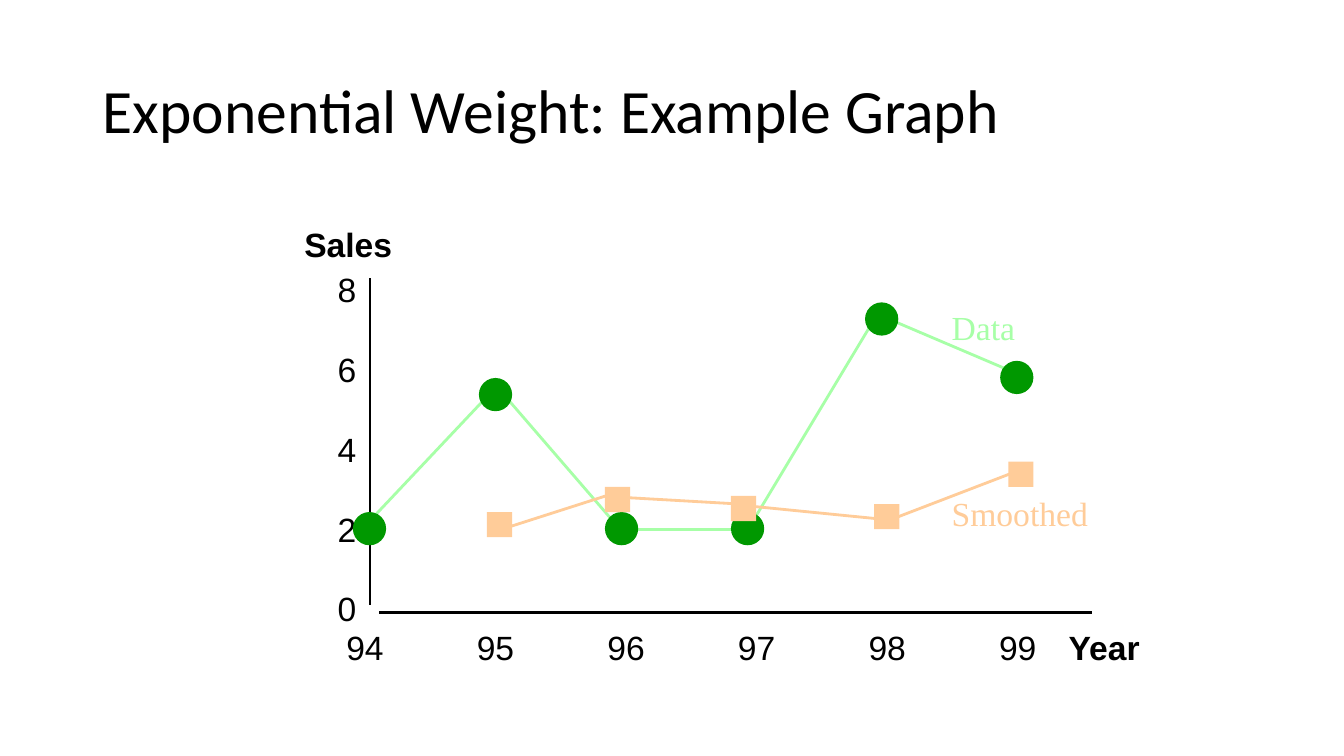
from pptx import Presentation
from pptx.util import Inches, Pt
from pptx.dml.color import RGBColor
from pptx.enum.shapes import MSO_CONNECTOR, MSO_SHAPE
from pptx.enum.text import MSO_ANCHOR, PP_ALIGN
from lxml import etree

STRAIGHT = MSO_CONNECTOR.STRAIGHT
OVAL, SQUARE = MSO_SHAPE.OVAL, MSO_SHAPE.RECTANGLE
MIDDLE, LEFT, CENTER = MSO_ANCHOR.MIDDLE, PP_ALIGN.LEFT, PP_ALIGN.CENTER
A = "http://schemas.openxmlformats.org/drawingml/2006/main"
COLORS = {"ink": "000000", "data_line": "A7FFA7", "data_dot": "009800", "smoothed": "FFCC99"}

prs = Presentation()
prs.slide_width, prs.slide_height = Inches(13.33), Inches(7.5)
s = prs.slides.add_slide(prs.slide_layouts[6])


def add_text(lines, x, y, w, h, font="Arial", size=24, color="ink", bold=False, align=LEFT):
    tf = s.shapes.add_textbox(Inches(x), Inches(y), Inches(w), Inches(h)).text_frame
    tf.word_wrap = True
    for i, line in enumerate(lines):
        p = tf.paragraphs[0] if i == 0 else tf.add_paragraph()
        p.alignment = align
        r = p.add_run()
        r.text = line
        r.font.name, r.font.size, r.font.bold = font, Pt(size), bold
        r.font.color.rgb = RGBColor.from_string(COLORS[color])
    return tf


def add_line(x1, y1, x2, y2, color):
    c = s.shapes.add_connector(STRAIGHT, Inches(x1), Inches(y1), Inches(x2), Inches(y2))
    c.line.color.rgb = RGBColor.from_string(COLORS[color])
    c.line.width = Pt(2)
    etree.SubElement(c._element.spPr, f"{{{A}}}effectLst")


tf = add_text(["Exponential Weight: Example Graph"], 0.92, 0.4, 11.5, 1.45, "Calibri", 44)
tf.vertical_anchor = MIDDLE
tf.paragraphs[0].line_spacing = 0.9

add_line(3.67, 2.76, 3.67, 6, "ink")
add_line(3.76, 6.08, 10.83, 6.08, "ink")

for i in range(6):
    add_text([str(94 + i)], 3.27 + 1.295 * i, 6.17, 0.7, 0.5, align=CENTER)

tf = add_text(["8", "6", "4", "2", "0"], 3.25, 2.42, 0.58, 3.89)
for p in tf.paragraphs:
    p.line_spacing = 1.5
    p.space_before = Pt(13.8)

add_text(["Sales"], 2.92, 2.17, 1.41, 0.5, bold=True)
add_text(["Year"], 10.5, 6.17, 1.41, 0.5, bold=True)

segments = {
    "data_line": [(3.59, 5.25, 4.92, 3.84), (5.01, 3.93, 6.08, 5.17), (6.26, 5.25, 7.33, 5.25),
                  (7.42, 5.25, 8.67, 3.17), (8.85, 3.18, 10, 3.67)],
    "smoothed": [(5.01, 5.24, 6.07, 4.9), (6.1, 4.93, 7.33, 5), (7.43, 5.02, 8.74, 5.15),
                 (8.77, 5.18, 10.15, 4.65)],
}
for color, lines in segments.items():
    for ends in lines:
        add_line(*ends, color)

markers = [
    (OVAL, 0.33, "data_dot", [(3.5, 5.08), (4.75, 3.75), (6, 5.08), (7.25, 5.08), (8.58, 3), (9.92, 3.58)]),
    (SQUARE, 0.25, "smoothed", [(4.83, 5.08), (6, 4.83), (7.25, 4.92), (8.67, 5), (10, 4.58)]),
]
for kind, size, color, points in markers:
    for x, y in points:
        sp = s.shapes.add_shape(kind, Inches(x), Inches(y), Inches(size), Inches(size))
        sp.shadow.inherit = False
        sp.fill.solid()
        sp.fill.fore_color.rgb = RGBColor.from_string(COLORS[color])
        sp.line.fill.background()

add_text(["Data"], 9.34, 3, 1.5, 0.5, "Times New Roman", color="data_line")
add_text(["Smoothed"], 9.34, 4.84, 1.91, 0.5, "Times New Roman", color="smoothed")

prs.save("out.pptx")
